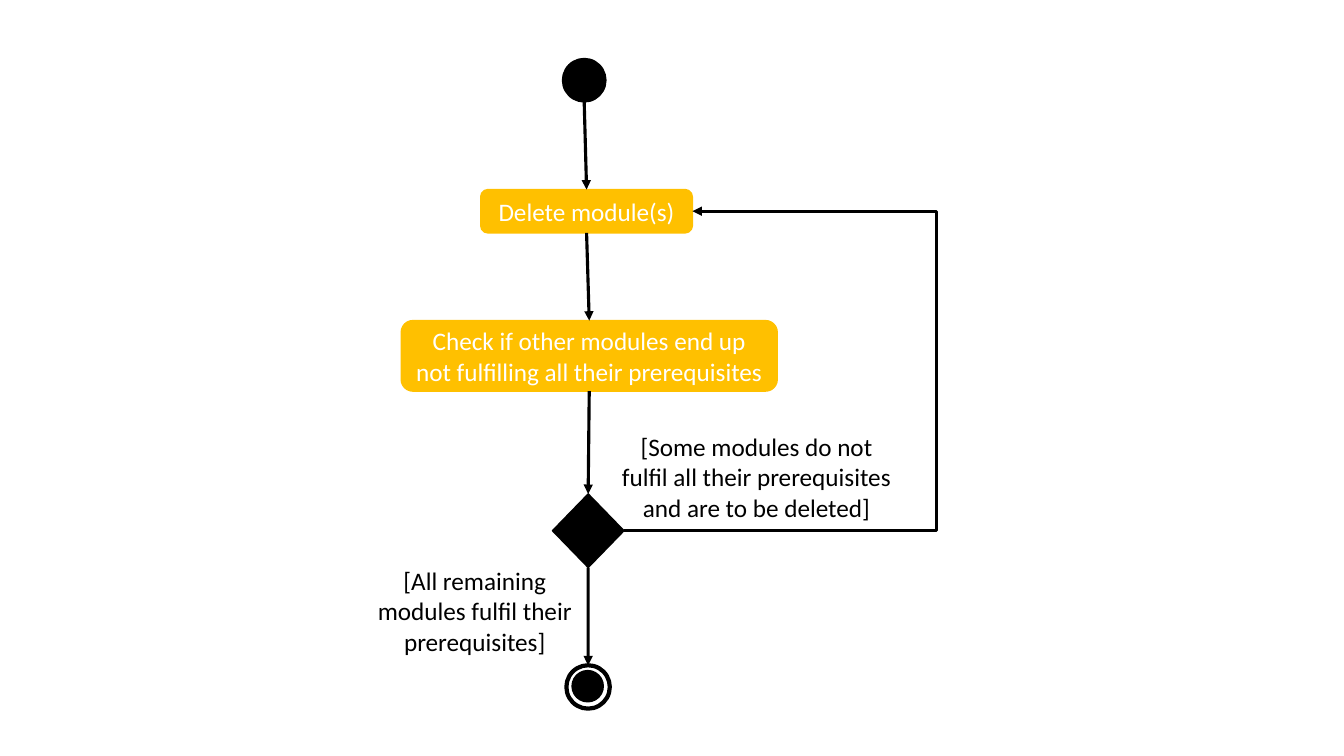
from lxml import etree
from pptx import Presentation
from pptx.dml.color import RGBColor
from pptx.enum import shapes, text
from pptx.oxml.ns import qn
from pptx.util import Pt

BLACK, WHITE, AMBER = "000000", "FFFFFF", "FFC000"
FONT, TEXT_SIZE = "Calibri", 18
KIND = shapes.MSO_SHAPE
TOP, BOTTOM, RIGHT = 0, 2, 3  # connection sites

# Content: name, preset, (left, top, width, height), fill, line width, wording
NODES = [
    ("start", KIND.OVAL, (401.8, 41.8, 31, 31), BLACK, 1, ""),
    ("delete", KIND.ROUNDED_RECTANGLE, (343.4, 135.4, 151.2, 31), AMBER, 1,
     "Delete module(s)"),
    ("check", KIND.ROUNDED_RECTANGLE, (286.6, 229, 268.6, 50.4), AMBER, 1,
     "Check if other modules end up not fulfilling all their prerequisites"),
    ("decision", KIND.DIAMOND, (394.6, 352.8, 51.1, 52.6), BLACK, 1, ""),
    ("end ring", KIND.OVAL, (404.6, 475.2, 31, 31), None, 3, ""),
    ("end dot", KIND.OVAL, (408.6, 479, 22.3, 22.3), BLACK, 1, ""),
]
GUARDS = [
    ((435.6, 304.6, 209.5, 72.7),
     "[Some modules do not fulfil all their prerequisites and are to be deleted]"),
    ((257.8, 400.3, 162.7, 72.7),
     "[All remaining modules fulfil their prerequisites]"),
]
FLOW = ["start", "delete", "check", "decision", "end ring"]
LOOP_X = 668.9

deck = Presentation()
deck.slide_width, deck.slide_height = Pt(960), Pt(540)
slide = deck.slides.add_slide(deck.slide_layouts[6])


def paint(color_format, color):
    color_format.rgb = RGBColor.from_string(color)


def write(shape, words, color=BLACK, size=TEXT_SIZE,
          anchor=text.MSO_ANCHOR.TOP, align=text.PP_ALIGN.CENTER):
    frame = shape.text_frame
    frame.word_wrap = True
    frame.vertical_anchor = anchor
    paragraph = frame.paragraphs[0]
    paragraph.alignment = align
    run = paragraph.add_run()
    run.text = words
    run.font.name, run.font.size = FONT, Pt(size)
    paint(run.font.color, color)


def add_node(kind, box, fill, line_width, words):
    node = slide.shapes.add_shape(kind, *map(Pt, box))
    node.shadow.inherit = False
    if fill:
        node.fill.solid()
        paint(node.fill.fore_color, fill)
    else:
        node.fill.background()
    paint(node.line.color, fill or BLACK)
    node.line.width = Pt(line_width)
    if words:
        write(node, words, color=WHITE, anchor=text.MSO_ANCHOR.MIDDLE)
    return node


def add_arrow(source, target, kind=shapes.MSO_CONNECTOR.STRAIGHT,
              leave=BOTTOM, enter=TOP):
    arrow = slide.shapes.add_connector(
        kind, source.left + source.width // 2, source.top + source.height,
        target.left + target.width // 2, target.top)
    # An oval numbers its sites differently, so its bottom stays unglued
    if source.auto_shape_type != KIND.OVAL:
        arrow.begin_connect(source, leave)
    arrow.end_connect(target, enter)
    paint(arrow.line.color, BLACK)
    arrow.line.width = Pt(2.25)
    etree.SubElement(arrow.line._get_or_add_ln(), qn("a:tailEnd"), type="triangle")
    etree.SubElement(arrow._element.spPr, qn("a:effectLst"))
    return arrow


# Nodes
nodes = {name: add_node(*details) for name, *details in NODES}

# Downward flow
for source, target in zip(FLOW, FLOW[1:]):
    add_arrow(nodes[source], nodes[target])

# Loop back to deletion, bending at LOOP_X
loop = add_arrow(nodes["decision"], nodes["delete"],
                 shapes.MSO_CONNECTOR.ELBOW, RIGHT, RIGHT)
bend = (Pt(LOOP_X) - loop.begin_x) / (loop.end_x - loop.begin_x)
geometry = loop._element.spPr.find(qn("a:prstGeom"))
adjustments = geometry.find(qn("a:avLst"))
if adjustments is None:
    adjustments = etree.SubElement(geometry, qn("a:avLst"))
etree.SubElement(adjustments, qn("a:gd"), name="adj1",
                 fmla=f"val {round(bend * 100000)}")

# Guard conditions
for box, words in GUARDS:
    write(slide.shapes.add_textbox(*map(Pt, box)), words)

deck.save("out.pptx")
